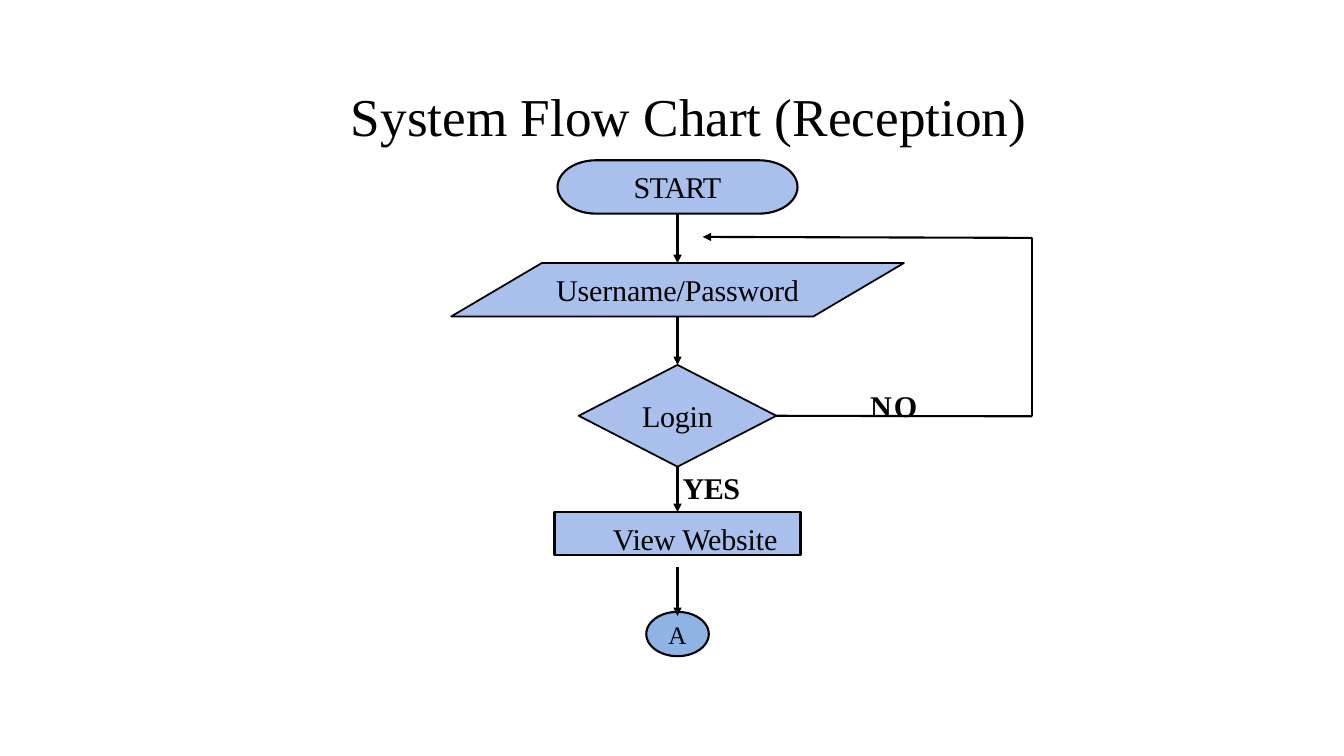
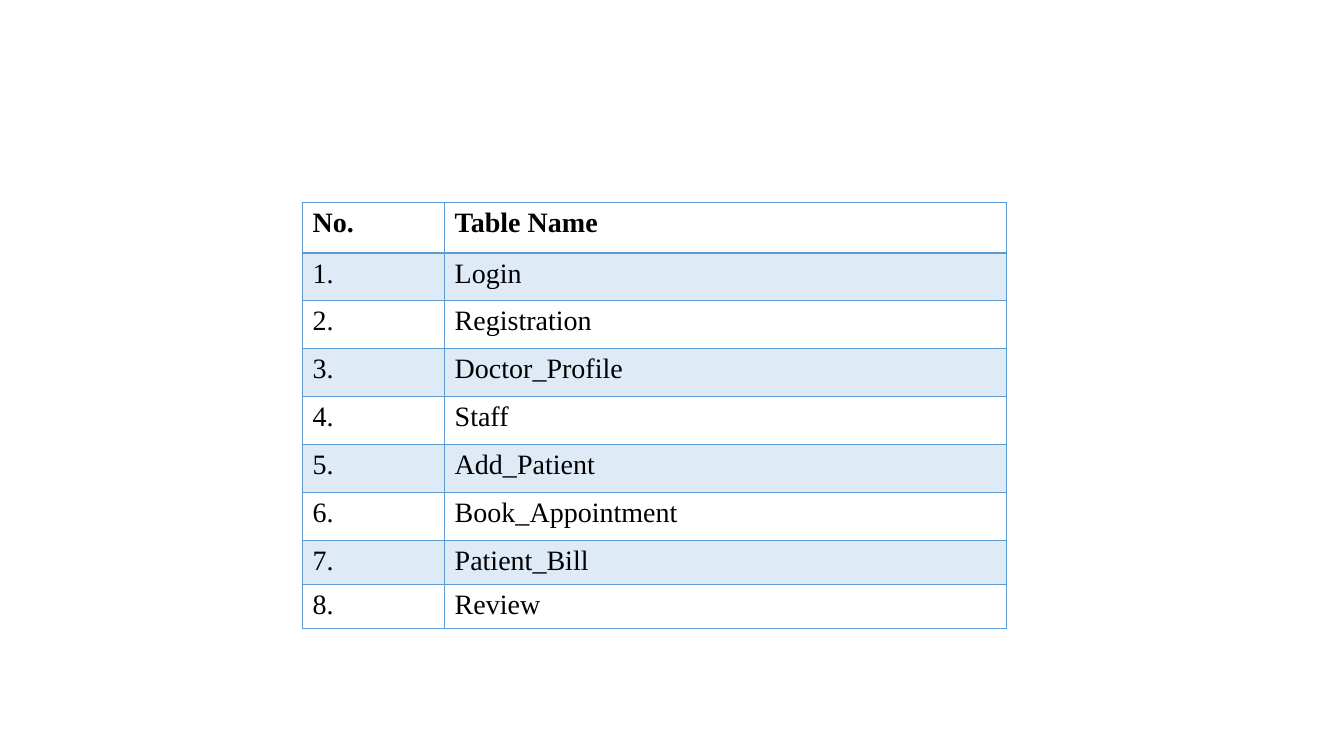
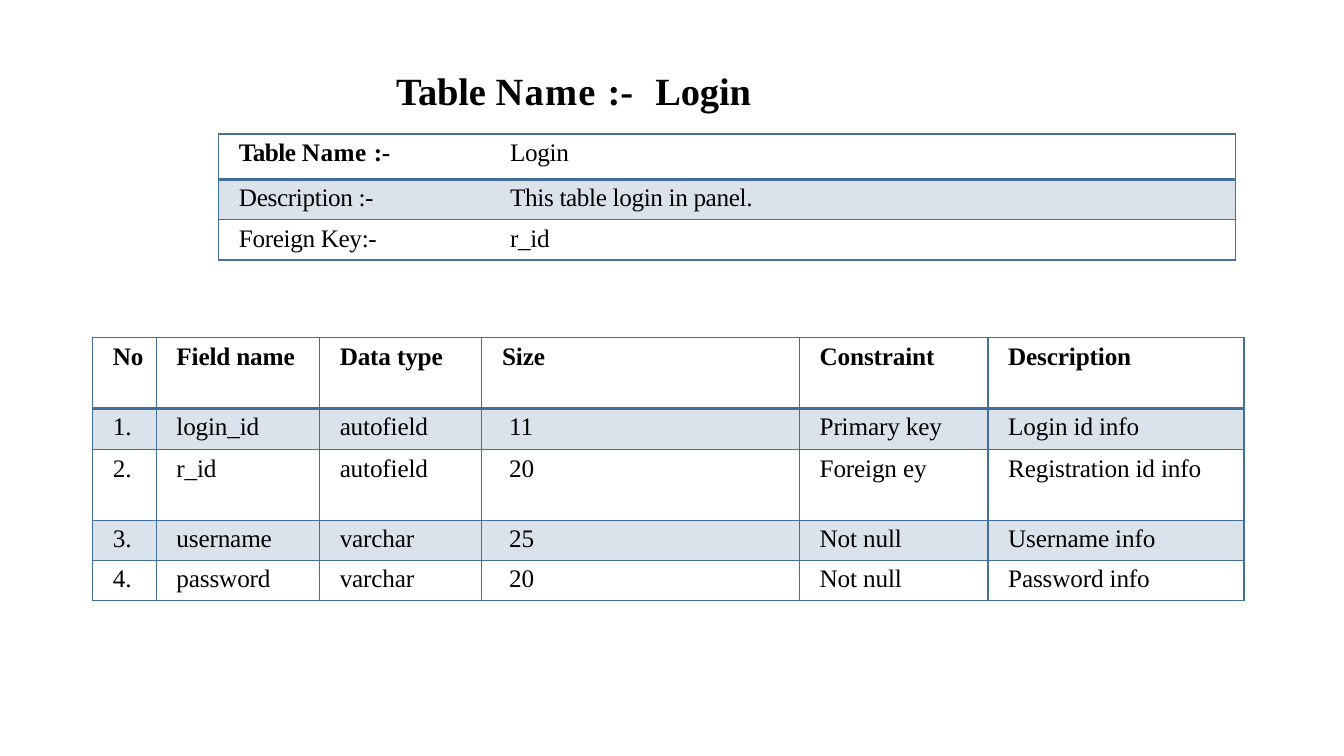
from lxml.etree import SubElement
from pptx import Presentation
from pptx.dml.color import RGBColor
from pptx.enum.shapes import MSO_CONNECTOR, MSO_SHAPE
from pptx.enum.text import MSO_ANCHOR, PP_ALIGN
from pptx.oxml.ns import qn
from pptx.util import Inches, Pt

BLACK = RGBColor(0x00, 0x00, 0x00)
FLOW_BLUE = RGBColor(0xA9, 0xC0, 0xEC)
LINK_BLUE = RGBColor(0x8E, 0xB4, 0xE3)
SKY = RGBColor(0x5B, 0x9B, 0xD5)
SKY_BAND = RGBColor(0xDE, 0xEB, 0xF7)
STEEL = RGBColor(0x44, 0x6F, 0x9D)
STEEL_BAND = RGBColor(0xDA, 0xE2, 0xEB)
FONT = "Times New Roman"

deck = Presentation()
deck.slide_width, deck.slide_height = Inches(13.33), Inches(7.5)
COLUMN = deck.slide_width / 133.3
ROW = deck.slide_height / 75
blank = deck.slide_layouts[6]


def write(frame, text, size=18, bold=False, spacing=0, align=PP_ALIGN.LEFT,
          anchor=MSO_ANCHOR.TOP, inset=(0, 0, 0, 0), tab=None):
    frame.word_wrap = True
    frame.vertical_anchor = anchor
    frame.margin_left, frame.margin_top, frame.margin_right, frame.margin_bottom = (
        round(share * COLUMN) for share in inset)
    para = frame.paragraphs[0]
    para.alignment = align
    if tab:
        stops = SubElement(para._p.get_or_add_pPr(), qn("a:tabLst"))
        SubElement(stops, qn("a:tab"), pos=str(round(tab * COLUMN)), algn="l")
    parts = [(text, {})] if isinstance(text, str) else text
    for words, changes in parts:
        span = para.add_run()
        span.text = words
        span.font.name = FONT
        span.font.size = Pt(size)
        span.font.bold = changes.get("bold", bold)
        span.font.color.rgb = BLACK
        tracking = changes.get("spacing", spacing)
        span._r.get_or_add_rPr().set("spc", str(round(tracking * 100)))


def draw_table(page, left, top, widths, heights, cells, border, band, header_line,
               bold_header=True, inset=(1, 0.5, 0, 0), **style):
    frame = page.shapes.add_table(
        len(heights), len(widths), round(left * COLUMN), round(top * ROW),
        round(sum(widths) * COLUMN), round(sum(heights) * ROW))
    table = frame.table
    table.first_row = table.horz_banding = False
    for column, width in zip(table.columns, widths):
        column.width = round(width * COLUMN)
    for number, (row, height, texts) in enumerate(zip(table.rows, heights, cells)):
        row.height = round(height * ROW)
        for cell, text in zip(row.cells, texts):
            write(cell.text_frame, text, bold=bold_header and number == 0, **style)
            cell.margin_left, cell.margin_top, cell.margin_right, cell.margin_bottom = (
                round(share * COLUMN) for share in inset)
            properties = cell._tc.get_or_add_tcPr()
            for side in ("lnL", "lnR", "lnT", "lnB"):
                heavy = (side, number) in (("lnB", 0), ("lnT", 1))
                width = Pt(header_line if heavy else 0.96)
                line = SubElement(properties, qn(f"a:{side}"), w=str(width))
                paint = SubElement(line, qn("a:solidFill"))
                SubElement(paint, qn("a:srgbClr"), val=str(border))
            if number % 2:
                cell.fill.solid()
                cell.fill.fore_color.rgb = band
            else:
                cell.fill.background()
    return table


page = deck.slides.add_slide(blank)
AXIS = 67.2
labels = [
    (34.8, 8.3, 72, 6.3, "System Flow Chart (Reception)", dict(size=38)),
    (86.3, 38.4, 6, 3.5, "NO", dict(size=21.5, bold=True, spacing=1.5)),
    (67.7, 46.6, 7, 3.5, "YES", dict(size=21.5, bold=True, spacing=-0.3)),
]
for left, top, width, height, text, style in labels:
    box = page.shapes.add_textbox(round(left * COLUMN), round(top * ROW),
                                  round(width * COLUMN), round(height * ROW))
    write(box.text_frame, text, **style)

steps = [
    ("start", MSO_SHAPE.FLOWCHART_TERMINATOR, 15.9, 23.8, 5.3, FLOW_BLUE, 1.5,
     "START", dict(size=21.5, spacing=-0.6)),
    ("credentials", MSO_SHAPE.FLOWCHART_DATA, 26.1, 44.9, 5.3, FLOW_BLUE, 1.25,
     "Username/Password", dict(size=21.5, spacing=-0.1)),
    ("login", MSO_SHAPE.FLOWCHART_DECISION, 36.2, 19.6, 10.1, FLOW_BLUE, 1.25,
     "Login", dict(size=21.5, spacing=-0.2)),
    ("website", MSO_SHAPE.RECTANGLE, 50.8, 24.4, 4.3, FLOW_BLUE, 1.5,
     "View Website", dict(size=21.5, spacing=-0.1, inset=(3.5, 1, 0, 0))),
    ("link", MSO_SHAPE.OVAL, 60.7, 6.2, 4.4, LINK_BLUE, 1.5, "A", dict(size=18)),
]
nodes = {}
for name, kind, top, width, height, fill, line, text, style in steps:
    shape = page.shapes.add_shape(kind, round((AXIS - width / 2) * COLUMN), round(top * ROW),
                                  round(width * COLUMN), round(height * ROW))
    shape.shadow.inherit = False
    shape.fill.solid()
    shape.fill.fore_color.rgb = fill
    shape.line.color.rgb = BLACK
    shape.line.width = Pt(line)
    write(shape.text_frame, text, align=PP_ALIGN.CENTER, anchor=MSO_ANCHOR.MIDDLE, **style)
    nodes[name] = shape

flows = [
    (AXIS, 21.2, AXIS, 26.1, True, ("start", 2), None),
    (AXIS, 31.4, AXIS, 36.2, True, None, ("login", 0)),
    (AXIS, 46.3, AXIS, 50.8, True, ("login", 2), ("website", 0)),
    (AXIS, 56.3, AXIS, 61.1, True, None, None),
    (77, 41.3, 102.4, 41.3, False, ("login", 3), None),
    (102.4, 41.3, 102.4, 23.6, False, None, None),
    (102.4, 23.6, 69.7, 23.5, True, None, None),
]
for x1, y1, x2, y2, arrow, source, target in flows:
    connector = page.shapes.add_connector(
        MSO_CONNECTOR.STRAIGHT, round(x1 * COLUMN), round(y1 * ROW),
        round(x2 * COLUMN), round(y2 * ROW))
    if source:
        connector.begin_connect(nodes[source[0]], source[1])
    if target:
        connector.end_connect(nodes[target[0]], target[1])
    connector.line.color.rgb = BLACK
    connector.line.width = Pt(1.5)
    if arrow:
        SubElement(connector.line._get_or_add_ln(), qn("a:tailEnd"), type="triangle")
    SubElement(connector._element.spPr, qn("a:effectLst"))

page = deck.slides.add_slide(blank)
names = ["Login", "Registration", "Doctor_Profile", "Staff", "Add_Patient",
         "Book_Appointment", "Patient_Bill", "Review"]
draw_table(page, 30, 20.1, [14.1, 55.7], [5] + [4.75] * 6 + [4.4] * 2,
           [("No.", "Table Name")] + [(f"{n}.", name) for n, name in enumerate(names, 1)],
           SKY, SKY_BAND, 1.98, size=20)

page = deck.slides.add_slide(blank)
box = page.shapes.add_textbox(round(39.3 * COLUMN), round(6.7 * ROW),
                              round(40 * COLUMN), round(4.6 * ROW))
write(box.text_frame,
      [("Table ", {}), ("Name ", dict(spacing=0.9)), (":-\tLogin", {})],
      size=27.5, bold=True, spacing=-0.1, tab=25.7)

summary = [
    [[("Table ", dict(bold=True, spacing=-0.4)), ("Name ", dict(bold=True, spacing=0.4)),
      (":-\t", dict(bold=True)), ("Login", {})]],
    ["Description :-\tThis table login in panel."],
    ["Foreign Key:-\tr_id"],
]
draw_table(page, 21.7, 13.3, [100.8], [4.5, 4, 4], summary, STEEL, STEEL_BAND, 2.21,
           bold_header=False, inset=(2, 0.5, 0, 0), spacing=-0.25, tab=26.9)

fields = [
    ("No", "Field name", "Data type", "Size", "Constraint", "Description"),
    ("1.", "login_id", "autofield", "11", "Primary key", "Login id info"),
    ("2.", "r_id", "autofield", "20", "Foreign ey", "Registration id info"),
    ("3.", "username", "varchar", "25", "Not null", "Username info"),
    ("4.", "password", "varchar", "20", "Not null", "Password info"),
]
table = draw_table(page, 9.2, 33.5, [6.3, 16.2, 16.1, 31.5, 18.7, 25.4], [7, 4.1, 7, 4, 4],
                   fields, STEEL, STEEL_BAND, 2.21, inset=(2, 0.5, 0, 0), spacing=-0.1)
for number in range(1, len(fields)):
    table.cell(number, 3).margin_left = round(2.7 * COLUMN)

deck.save("out.pptx")
